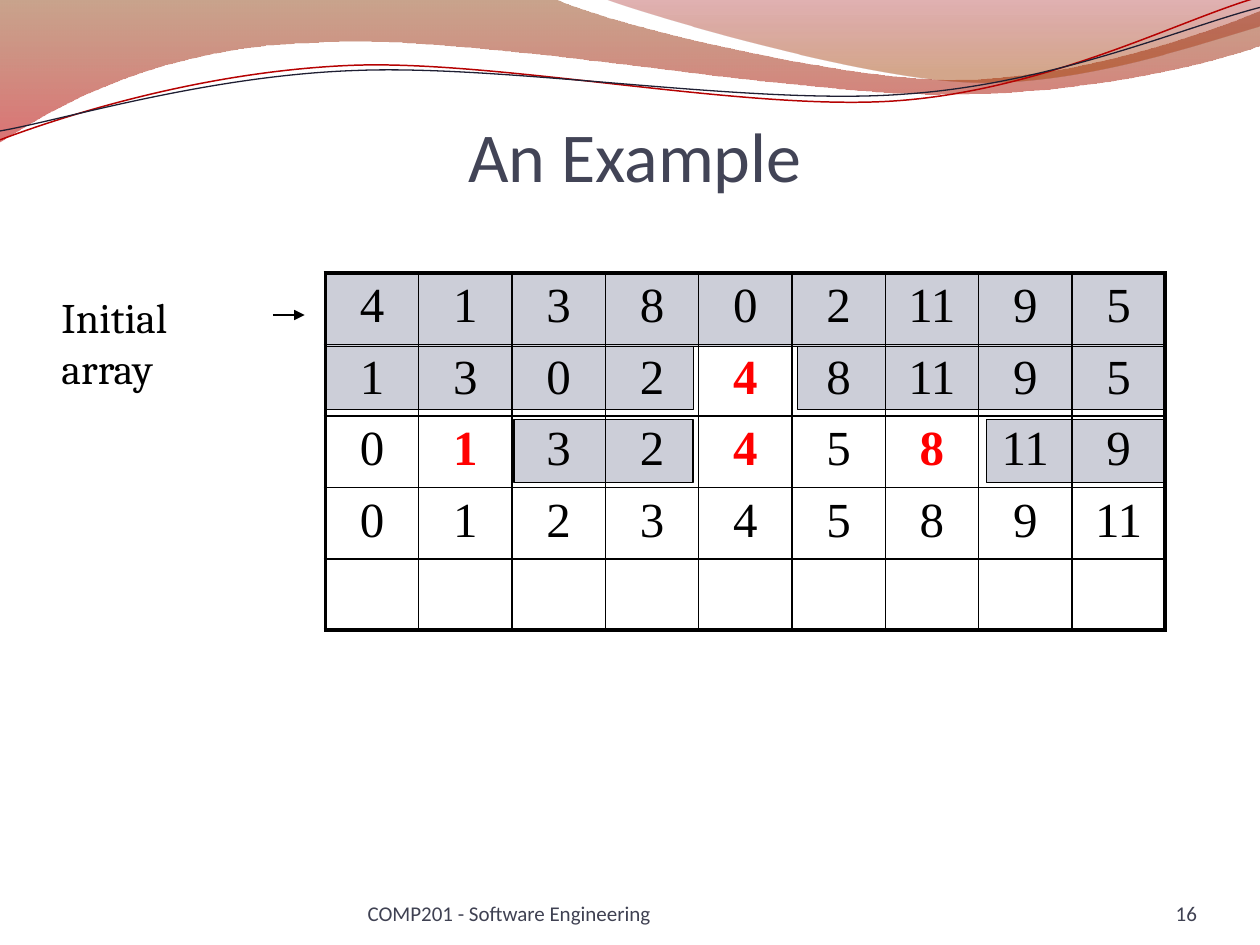
"""Build the quicksort example slide: wave header, array table and footer."""
from dataclasses import dataclass
from math import cos, radians, sin
from typing import Optional

from lxml.etree import SubElement
from pptx import Presentation
from pptx.dml.color import RGBColor
from pptx.enum.shapes import MSO_CONNECTOR as CONN, MSO_SHAPE as SHAPE
from pptx.enum.text import MSO_ANCHOR as ANCHOR, PP_ALIGN as ALIGN
from pptx.oxml.ns import qn
from pptx.util import Cm, Pt

BLACK, RED, SHADE, FOOT = "000000", "FF0000", "CCCED8", "3F4152"
LEFT, TOP, WIDTH, ROW_H = 6.56, 5.5, 16.93, 1.44
TILT, PIVOT_X, PIVOT_Y = 357.3, 12.68, 1.48


@dataclass
class Stop:
    pos: float
    color: str
    alpha: int


@dataclass
class Wave:
    start: tuple
    segments: list
    stops: tuple = ()
    line: str = ""
    weight: float = 0
    tilt: float = 0


@dataclass
class Box:
    left: float
    top: float
    width: float
    height: float


@dataclass
class Label:
    text: str
    box: Box
    size: float
    font: str
    color: str
    align: ALIGN = ALIGN.LEFT
    anchor: ANCHOR = ANCHOR.TOP
    margins: Optional[tuple] = None


BANDS = [
    Wave((0, 0), [(11.18, -0.02), (12.09, 0.43, 16.87, 1.6, 19.25, 1.6),
                  (21.67, 1.6, 24.33, 0.66, 25.4, 0.23), (25.43, 0.91),
                  (24.97, 1.12, 22.1, 1.93, 18.95, 1.9),
                  (15.8, 1.9, 9.7, 0.71, 6.53, 0.86),
                  (3.28, 0.91, 1.17, 2.11, -0.02, 2.87), (0, 0)],
         (Stop(0, "883400", 45), Stop(1, "BD0000", 55))),
    Wave((12.17, -0.02), [(12.93, 0.28, 17.32, 1.57, 19.53, 1.65),
                          (21.74, 1.75, 24.41, 0.81, 25.4, 0.53),
                          (25.4, 0), (12.17, -0.02)],
         (Stop(0, "9A0000", 30), Stop(0.8, "A23E00", 45))),
]
STRANDS = [
    Wave((0, 2.82), [(1.22, 2.36, 4.01, 1.45, 7.04, 1.32),
                     (10.03, 1.19, 15.06, 2.26, 18.11, 2.03),
                     (21.16, 1.8, 23.83, 0.38, 25.35, -0.05)],
         line="B60202", weight=0.85, tilt=TILT),
    Wave((0, 2.64), [(1.19, 2.44, 4.17, 1.52, 7.19, 1.42),
                     (10.24, 1.3, 15.16, 2.13, 18.21, 1.9),
                     (21.23, 1.7, 23.9, 0.53, 25.4, 0.15)],
         line="1F1F33", weight=0.75, tilt=TILT),
]
PARTITION_GROUPS = [
    [Box(16.08, 6.99, 7.42, 1.27), Box(LEFT, 6.99, 7.42, 1.27)],
    [Box(19.89, 8.46, 3.61, 1.27), Box(10.36, 8.46, 3.61, 1.27)],
]
FIRST_ROW = Box(LEFT, TOP, WIDTH, 1.48)
ARRAYS = [
    [4, 1, 3, 8, 0, 2, 11, 9, 5],
    [1, 3, 0, 2, 4, 8, 11, 9, 5],
    [0, 1, 3, 2, 4, 5, 8, 11, 9],
    [0, 1, 2, 3, 4, 5, 8, 9, 11],
    [""] * 9,
]
PIVOTS = {(1, 4), (2, 1), (2, 4), (2, 6)}
TITLE = Label("An Example", Box(1.27, 1.96, 23.06, 2), 40, "Calibri", "424456",
              ALIGN.CENTER, ANCHOR.BOTTOM, (0, 0.13, 0, 0))
CAPTION = Label("Initial array", Box(0.99, 5.76, 4.65, 1.27), 24, "Cambria", BLACK)
FOOTERS = [
    Label("16", Box(22.02, 17.65, 2.11, 1.02), 12, "Calibri", FOOT,
          ALIGN.RIGHT, ANCHOR.BOTTOM, (0, 0, 0, 0)),
    Label("COMP201 - Software Engineering", Box(7.41, 17.65, 9.32, 1.02), 12,
          "Calibri", FOOT, ALIGN.LEFT, ANCHOR.BOTTOM, (0, 0, 0, 0)),
]


def rgb(color: str) -> RGBColor:
    return RGBColor.from_string(color)


def place(box: Box) -> tuple:
    return tuple(Cm(v) for v in (box.left, box.top, box.width, box.height))


def set_line(shape, color: str, weight: float) -> None:
    shape.line.color.rgb = rgb(color)
    shape.line.width = Pt(weight)


def level(x: float, y: float, tilt: float) -> tuple:
    angle, dx, dy = radians(-tilt), x - PIVOT_X, y - PIVOT_Y
    return (Cm(PIVOT_X + dx * cos(angle) - dy * sin(angle)),
            Cm(PIVOT_Y + dx * sin(angle) + dy * cos(angle)))


def bend(sp, segments: list) -> None:
    lines = iter(list(sp._element.iter(qn("a:lnTo"))))
    for segment in segments:
        first = next(lines)
        if len(segment) == 6:
            first.tag = qn("a:cubicBezTo")
            for line in (next(lines), next(lines)):
                first.append(line[0])
                line.getparent().remove(line)


def add_wave(shapes, wave: Wave) -> None:
    points = [level(*s[i:i + 2], wave.tilt) for s in wave.segments for i in range(0, len(s), 2)]
    builder = shapes.build_freeform(*level(*wave.start, wave.tilt))
    builder.add_line_segments(points, close=bool(wave.stops))
    sp = builder.convert_to_shape()
    bend(sp, wave.segments)
    sp.rotation = wave.tilt
    sp.shadow.inherit = False
    if not wave.stops:
        sp.fill.background()
        set_line(sp, wave.line, wave.weight)
        return
    sp.line.fill.background()
    sp.fill.gradient()
    sp.fill.gradient_angle = 270
    for target, stop in zip(sp.fill.gradient_stops, wave.stops):
        target.color.rgb = rgb(stop.color)
        target.position = stop.pos
    for node, stop in zip(sp._element.iter(qn("a:gs")), wave.stops):
        SubElement(node[0], qn("a:alpha"), val=str(stop.alpha * 1000))


def add_partition(shapes, box: Box) -> None:
    sp = shapes.add_shape(SHAPE.RECTANGLE, *place(box))
    sp.shadow.inherit = False
    sp.fill.solid()
    sp.fill.fore_color.rgb = rgb(SHADE)
    set_line(sp, BLACK, 0.75)


def format_text(p, size: float, font: str, color: str, align: ALIGN, bold: bool = False) -> None:
    p.alignment = align
    for r in p.runs:
        r.font.size, r.font.name, r.font.bold = Pt(size), font, bold
        r.font.color.rgb = rgb(color)


def add_label(slide, label: Label) -> None:
    tf = slide.shapes.add_textbox(*place(label.box)).text_frame
    tf.word_wrap, tf.vertical_anchor = True, label.anchor
    if label.margins:
        tf.margin_left, tf.margin_top, tf.margin_right, tf.margin_bottom = map(Cm, label.margins)
    tf.text = label.text
    format_text(tf.paragraphs[0], label.size, label.font, label.color, label.align)


def add_arrow(slide, x1: float, x2: float, y: float) -> None:
    arrow = slide.shapes.add_connector(CONN.STRAIGHT, Cm(x1), Cm(y), Cm(x2), Cm(y))
    set_line(arrow, BLACK, 0.75)
    SubElement(arrow.line._get_or_add_ln(), qn("a:tailEnd"), type="triangle")
    SubElement(arrow._element.spPr, qn("a:effectLst"))


def set_borders(cell, outer: dict) -> None:
    for side, is_outer in outer.items():
        width = Pt(2.25 if is_outer else 1)
        ln = SubElement(cell._tc.get_or_add_tcPr(), qn(f"a:ln{side}"), w=str(width))
        SubElement(SubElement(ln, qn("a:solidFill")), qn("a:srgbClr"), val=BLACK)


def add_arrays(slide) -> None:
    rows, cols = len(ARRAYS), len(ARRAYS[0])
    box = Box(LEFT, TOP, WIDTH, ROW_H * rows)
    table = slide.shapes.add_table(rows, cols, *place(box)).table
    table.first_row = table.horz_banding = False
    for i, values in enumerate(ARRAYS):
        for j, value in enumerate(values):
            cell = table.cell(i, j)
            set_borders(cell, {"L": j == 0, "R": j == cols - 1, "T": i == 0, "B": i == rows - 1})
            cell.fill.background()
            cell.text_frame.text = str(value)
            pivot = (i, j) in PIVOTS
            format_text(cell.text_frame.paragraphs[0], 28, "Times New Roman",
                        RED if pivot else BLACK, ALIGN.CENTER, pivot)


def main() -> None:
    prs = Presentation()
    prs.slide_width, prs.slide_height = Cm(25.4), Cm(19.05)
    slide = prs.slides.add_slide(prs.slide_layouts[6])
    for band in BANDS:
        add_wave(slide.shapes, band)
    strands = slide.shapes.add_group_shape()
    for strand in STRANDS:
        add_wave(strands.shapes, strand)
    add_label(slide, TITLE)
    for boxes in PARTITION_GROUPS:
        group = slide.shapes.add_group_shape()
        for box in boxes:
            add_partition(group.shapes, box)
    add_partition(slide.shapes, FIRST_ROW)
    add_label(slide, CAPTION)
    add_arrow(slide, 5.5, 6.14, 6.35)
    add_arrays(slide)
    for footer in FOOTERS:
        add_label(slide, footer)
    prs.save("out.pptx")


if __name__ == "__main__":
    main()
